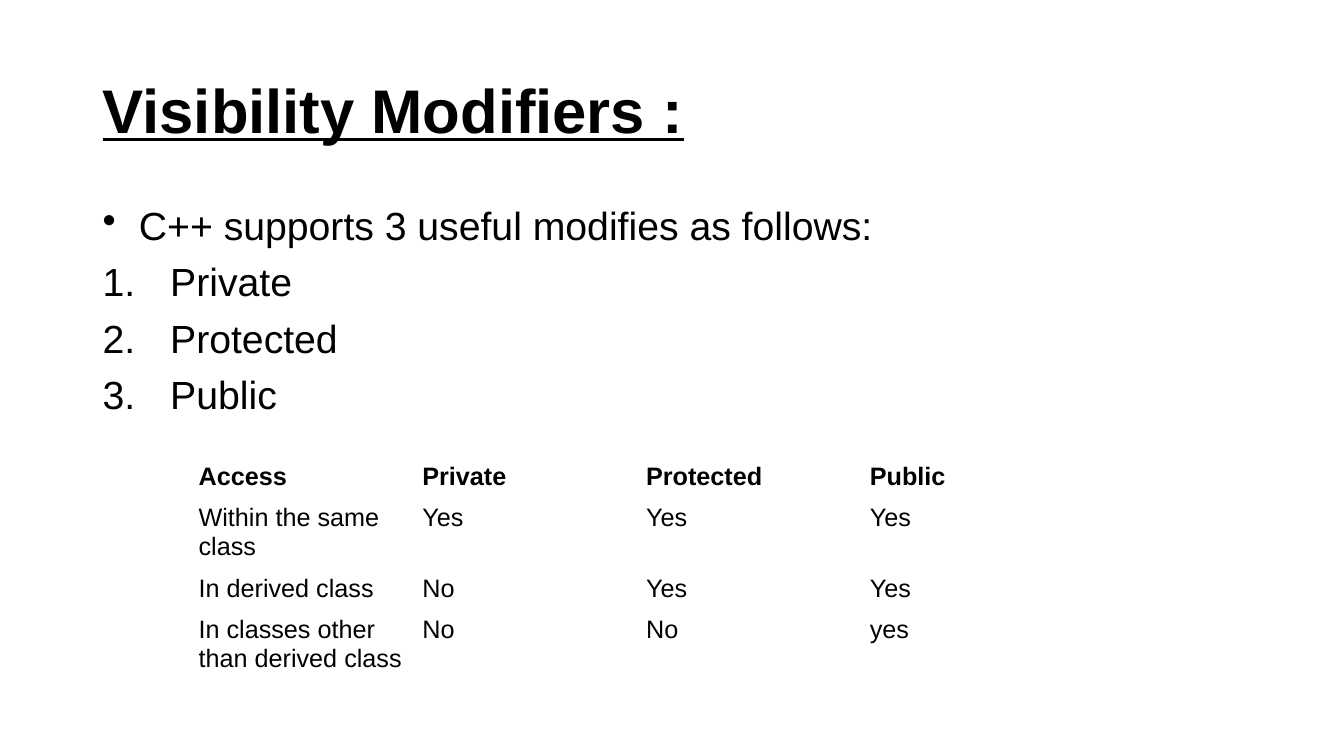
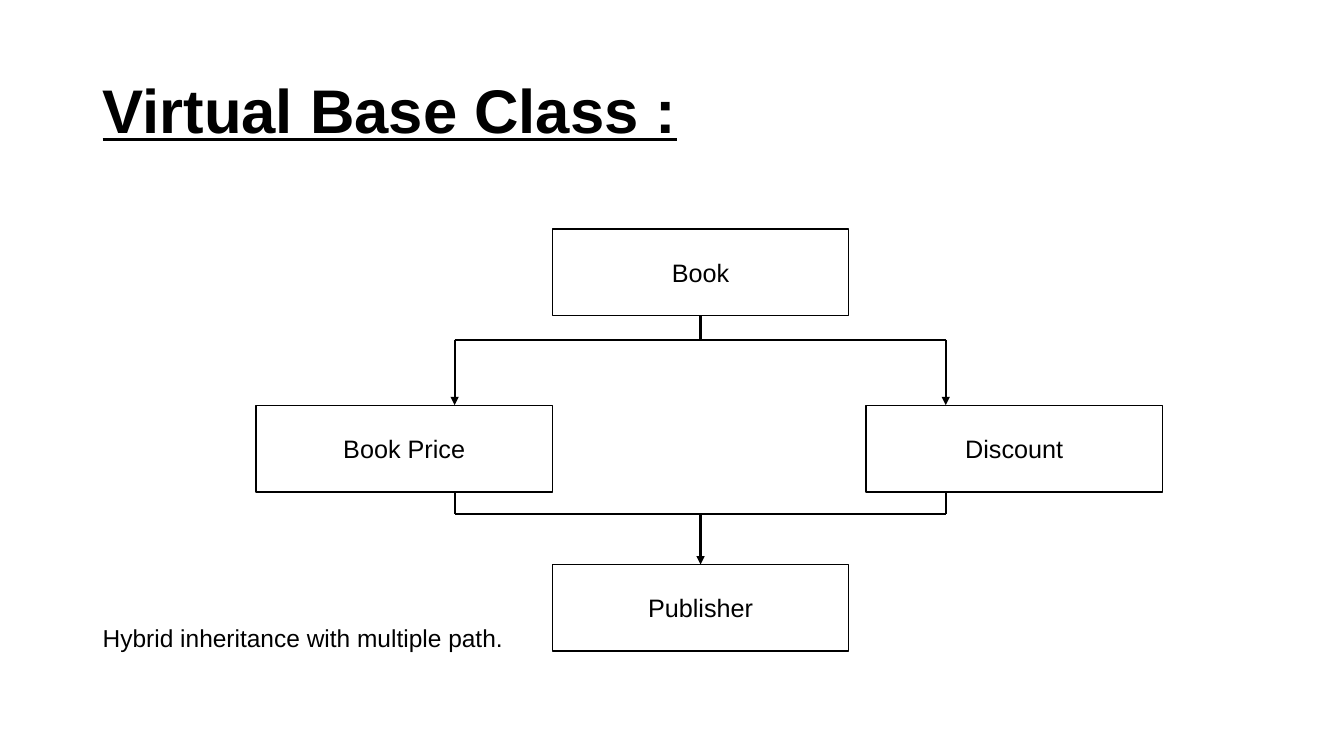
from lxml import etree
from pptx import Presentation, util as u
from pptx.dml.color import RGBColor
from pptx.enum import shapes, text
from pptx.oxml.ns import qn

BLACK = RGBColor(0, 0, 0)
WHITE = RGBColor(255, 255, 255)
BODY = {"name": "Arial", "size": u.Pt(18), "bold": False}
HEAD = BODY | {"bold": True}
TITLE = HEAD | {"size": u.Pt(44), "underline": True}
LIST = BODY | {"size": u.Pt(28)}
NOTE = BODY | {"size": u.Pt(17.5)}
MID = text.MSO_ANCHOR.MIDDLE

deck = Presentation()
deck.slide_width, deck.slide_height = u.Inches(13.333), u.Inches(7.5)
COL, ROW = deck.slide_width / 100, deck.slide_height / 100  # one percent each
LEFT, WIDE = 6.9, 86.25


def grid(*nums):
    """Turn alternating column and row counts into lengths."""
    return [round(n * (ROW if i % 2 else COL)) for i, n in enumerate(nums)]


def write(frame, lines, form, **para):
    """Fill a text frame, one paragraph a line, and return the paragraphs."""
    frame.word_wrap = True
    frame.text = "\n".join(lines)
    for p in frame.paragraphs:
        p.font.color.rgb = BLACK
        for key, val in form.items():
            setattr(p.font, key, val)
        for key, val in para.items():
            setattr(p, key, val)
    return frame.paragraphs


pages = []
for name in ("Visibility Modifiers :", "Virtual Base Class :"):
    page = deck.slides.add_slide(deck.slide_layouts[6])
    frame = page.shapes.add_textbox(*grid(LEFT, 5.33, WIDE, 19.33)).text_frame
    frame.vertical_anchor = MID
    write(frame, [name], TITLE, line_spacing=0.9)
    pages.append(page)
access, tree = pages

# Visibility modifiers: list and table
lines = ["C++ supports 3 useful modifies as follows:", "Private", "Protected", "Public"]
frame = access.shapes.add_textbox(*grid(LEFT, 26.67, WIDE, 32)).text_frame
for i, p in enumerate(write(frame, lines, LIST, line_spacing=0.9)):
    props = p._p.get_or_add_pPr()
    hang, gap = (0.67, 0.56) if i else (0.36, 0.36)
    props.set("marL", str(u.Inches(hang)))
    props.set("indent", str(-u.Inches(hang)))
    if i:
        p.space_before = u.Pt(10)
    tag, key, val = ("buAutoNum", "type", "arabicPeriod") if i else ("buChar", "char", "•")
    mark = etree.Element(qn("a:" + tag))
    mark.set(key, val)
    props.insert_element_before(mark, "a:tabLst", "a:defRPr", "a:extLst")

cells = [
    ["Access", "Private", "Protected", "Public"],
    ["Within the same class", "Yes", "Yes", "Yes"],
    ["In derived class", "No", "Yes", "Yes"],
    ["In classes other than derived class", "No", "No", "yes"],
]
size = len(cells)
table = access.shapes.add_table(
    size, size, *grid(14.03, 60.53, 16.65 * size, 5.47 * size)).table
table.first_row = table.horz_banding = False
for r, row in enumerate(cells):
    for c, word in enumerate(row):
        cell = table.cell(r, c)
        cell.fill.background()
        write(cell.text_frame, [word], BODY if r else HEAD)

# Virtual base class: caption, boxes and wires
frame = tree.shapes.add_textbox(*grid(LEFT, 81.7, 34, 5.4)).text_frame
frame.vertical_anchor = MID
write(frame, ["Hybrid inheritance with multiple path."], NOTE)

BOXW, BOXH = 22.05, 11.47
MAIN, TOP, SIDE, LAST = 41.1, 30.27, 53.6, 74.67
boxes = {}
for word, x, y in (("Book", MAIN, TOP), ("Book Price", MAIN - BOXW, SIDE),
                   ("Discount", 64.44, SIDE), ("Publisher", MAIN, LAST)):
    box = tree.shapes.add_shape(shapes.MSO_SHAPE.RECTANGLE, *grid(x, y, BOXW, BOXH))
    box.shadow.inherit = False
    box.fill.solid()
    box.fill.fore_color.rgb = WHITE
    box.line.color.rgb, box.line.width = BLACK, u.Pt(1)
    box.text_frame.vertical_anchor = MID
    write(box.text_frame, [word], BODY, alignment=text.PP_ALIGN.CENTER)
    boxes[word] = box

WEST, EAST, AXIS = 33.83, 70.37, MAIN + BOXW / 2
FORK, JOIN = 44.93, 68
wires = [(AXIS, TOP + BOXH, AXIS, FORK, False), (AXIS, JOIN, AXIS, LAST, True)]
for y in (FORK, JOIN):
    wires.append((WEST, y, EAST, y, False))
for x in (WEST, EAST):
    wires.append((x, FORK, x, SIDE, True))
    wires.append((x, SIDE + BOXH, x, JOIN, False))

links = []
for *ends, arrow in wires:
    link = tree.shapes.add_connector(shapes.MSO_CONNECTOR.STRAIGHT, *grid(*ends))
    link.line.color.rgb, link.line.width = BLACK, u.Pt(1.5)
    if arrow:
        etree.SubElement(link.line._get_or_add_ln(), qn("a:tailEnd")).set("type", "triangle")
    etree.SubElement(link._element.spPr, qn("a:effectLst"))
    links.append(link)
links[0].begin_connect(boxes["Book"], 2)
links[1].end_connect(boxes["Publisher"], 0)

deck.save("out.pptx")
